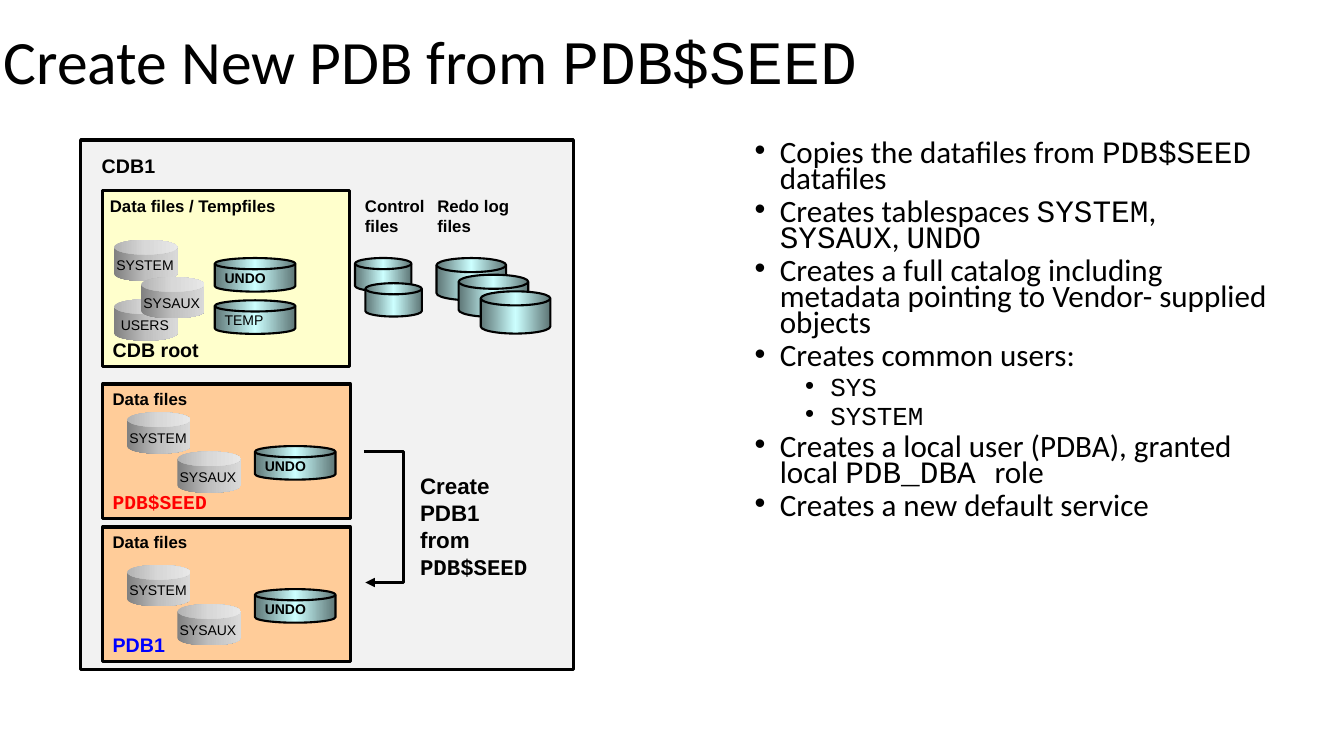
from lxml import etree
from pptx import Presentation
from pptx.dml.color import RGBColor
from pptx.enum import shapes, text
from pptx.oxml.ns import qn
from pptx.util import Pt

SHAPE = shapes.MSO_SHAPE
ANCHOR = text.MSO_ANCHOR
MONO = "Courier New"
GREY = ("808080", "BFBFBF", "D9D9D9")
TEAL = ("5E7676", "CCFFFF", "5E7676")


def rgb(value):
    return RGBColor.from_string(value)


def add_xml(parent, tag, **attrs):
    return etree.SubElement(parent, qn(tag), attrs)


def write(sp, lines, size, font="Arial", color="000000", bold=False,
          anchor=ANCHOR.TOP, spacing=None):
    """Fill a shape with lines; parts between backticks are monospaced."""
    tf = sp.text_frame
    tf.word_wrap = True
    tf.vertical_anchor = anchor
    for i, line in enumerate(lines):
        p = tf.add_paragraph() if i else tf.paragraphs[0]
        p.alignment = text.PP_ALIGN.LEFT
        p.font.size = Pt(size)
        p.font.bold = bold
        p.font.name = font
        p.font.color.rgb = rgb(color)
        if spacing:
            p.line_spacing = spacing
        for j, part in enumerate(line.split("`")):
            if part:
                r = p.add_run()
                r.text = part
                if j % 2:
                    r.font.name = MONO
    return tf


def label(slide, x, y, w, h, lines, size, **style):
    sp = slide.shapes.add_textbox(Pt(x), Pt(y), Pt(w), Pt(h))
    return write(sp, lines, size, **style)


def outlined(slide, kind, x, y, w, h, line=None):
    sp = slide.shapes.add_shape(kind, Pt(x), Pt(y), Pt(w), Pt(h))
    sp.shadow.inherit = False
    if line:
        sp.line.color.rgb = rgb("000000")
        sp.line.width = Pt(line)
    else:
        sp.line.fill.background()
    return sp


def box(slide, x, y, w, h, fill):
    sp = outlined(slide, SHAPE.RECTANGLE, x, y, w, h, 2.25)
    sp.fill.solid()
    sp.fill.fore_color.rgb = rgb(fill)
    return sp


def shade(sp, colors):
    """Left-to-right gradient with evenly spaced stops."""
    sp.fill.gradient()
    sp.fill.gradient_angle = 0
    stops = sp._element.spPr.find(".//" + qn("a:gsLst"))
    stops.clear()
    for i, color in enumerate(colors):
        gs = add_xml(stops, "a:gs", pos=str(100000 * i // (len(colors) - 1)))
        add_xml(gs, "a:srgbClr", val=color)


def disk(slide, x, y, w=57.6, h=24, name=None, bold=True):
    shade(outlined(slide, SHAPE.FLOWCHART_MAGNETIC_DISK, x, y, w, h, 1.5), TEAL)
    if name:
        label(slide, x, y + 4.5, 63, 19.4, [name], 10, bold=bold)


def can(slide, x, y, name, dx=-5.4):
    sp = outlined(slide, SHAPE.CAN, x, y, 45.4, 29.5)
    sp.adjustments[0] = 0.356
    shade(sp, GREY)
    label(slide, x + dx, y + 8.6, 72, 19.4, [name], 10)


def title(slide, x, y, w, h):
    label(slide, x, y, w, h, ["Create New PDB from `PDB$SEED`"], 44,
          font="Calibri", anchor=ANCHOR.MIDDLE, spacing=0.9)


def bullets(slide, x, y, w, h):
    items = [
        (1, "Copies the datafiles from `PDB$SEED `datafiles"),
        (1, "Creates tablespaces `SYSTEM`, `SYSAUX`, `UNDO`"),
        (1, "Creates a full catalog including metadata pointing to "
            "Vendor- supplied objects"),
        (1, "Creates common users:"),
        (2, "`SYS`"),
        (2, "`SYSTEM`"),
        (1, "Creates a local user (PDBA), granted local `PDB_DBA `role"),
        (1, "Creates a new default service"),
    ]
    tf = label(slide, x, y, w, h, [item for _, item in items], 22.2,
               font="Calibri", spacing=0.7)
    for p, (level, _) in zip(tf.paragraphs, items):
        p.level = level
        p.space_before = Pt(5)
        if level == 2:
            p.font.size = Pt(18.5)
        pPr = p._p.get_or_add_pPr()
        pPr.set("marL", str(Pt(18 + 36 * level)))
        pPr.set("indent", str(Pt(-18)))
        font = pPr.find(qn("a:defRPr"))
        font.addprevious(etree.Element(qn("a:buFont"), typeface="Arial"))
        font.addprevious(etree.Element(qn("a:buChar"), char="•"))


def root_panel(slide, x, y, w, h):
    write(box(slide, x, y, w, h, "FFFFCC"), ["CDB root"], 14, bold=True,
          anchor=ANCHOR.BOTTOM, spacing=0.85)
    label(slide, x - 2, y, w, 21.6, ["Data files / Tempfiles"], 12, bold=True)
    can(slide, x + 8, y + 77.8, "USERS", dx=-2.2)
    can(slide, x + 8, y + 35.3, "SYSTEM")
    can(slide, x + 27.4, y + 61.9, "SYSAUX")
    disk(slide, x + 80, y + 48.3, name="UNDO")
    disk(slide, x + 80, y + 78.5, name="TEMP", bold=False)


def pdb_panel(slide, x, y, w, h, name, font, color, drop):
    write(box(slide, x, y, w, h, "FFCC99"), [name], 14, font=font,
          color=color, bold=True, anchor=ANCHOR.BOTTOM)
    label(slide, x, y, w, 21.6, ["Data files"], 12, bold=True)
    disk(slide, x + 108.7, y + 44.3, name="UNDO")
    can(slide, x + 17.3, y + 20.2 + drop, "SYSTEM")
    can(slide, x + 53.3, y + 48.2 + drop, "SYSAUX")


def file_stack(slide, x, y, heading, heading_dx, count, step, size):
    label(slide, x + heading_dx, y - 48.3, 104, 36.7, [heading, "files"], 12,
          bold=True)
    for i in range(count):
        disk(slide, x + i * step[0], y + i * step[1], *size)


def clone_arrow(slide, x, y, h):
    line = slide.shapes.add_connector(shapes.MSO_CONNECTOR.ELBOW, Pt(x), Pt(y),
                                      Pt(x + 1), Pt(y + h))
    line.line.color.rgb = rgb("000000")
    line.line.width = Pt(2.25)
    spPr = line._element.spPr
    add_xml(spPr.find(".//" + qn("a:avLst")), "a:gd", name="adj1",
            fmla="val 2867000")
    add_xml(spPr.find(qn("a:ln")), "a:tailEnd", type="triangle")
    add_xml(spPr, "a:effectLst")
    label(slide, x + 33, y + 11.5, 120, 85, ["Create", "PDB1", "from", "`PDB$SEED`"],
          16, bold=True)


def container(slide, x, y, w, h):
    box(slide, x, y, w, h, "F2F2F2")
    label(slide, x + 8, y + 9.3, 196, 21, ["CDB1"], 14, bold=True, spacing=0.8)
    # Database panels
    left = x + 15.8
    root_panel(slide, left, y + 36, 176.5, 126)
    pdb_panel(slide, left, y + 174.3, 177, 95.8, "PDB$SEED", MONO, "FF0000", 0)
    pdb_panel(slide, left, y + 276.5, 177, 95.8, "PDB1", "Arial", "0000FF", 6.8)
    # Control and redo log files
    file_stack(slide, x + 196, y + 84.3, "Control", 0, 2, (7.4, 18), (40.3, 23.8))
    file_stack(slide, x + 254.2, y + 84.3, "Redo log", -6.5, 3, (15.8, 11.9),
               (49.7, 30.2))
    # Seed to new PDB
    clone_arrow(slide, x + 202.4, y + 222.5, 93.6)


def main():
    prs = Presentation()
    prs.slide_width, prs.slide_height = Pt(960), Pt(540)
    slide = prs.slides.add_slide(prs.slide_layouts[6])
    title(slide, -4.3, -5.8, 828, 104.4)
    bullets(slide, 496, 98, 424, 361.4)
    container(slide, 57.6, 100, 352, 378)
    prs.save("out.pptx")


if __name__ == "__main__":
    main()
